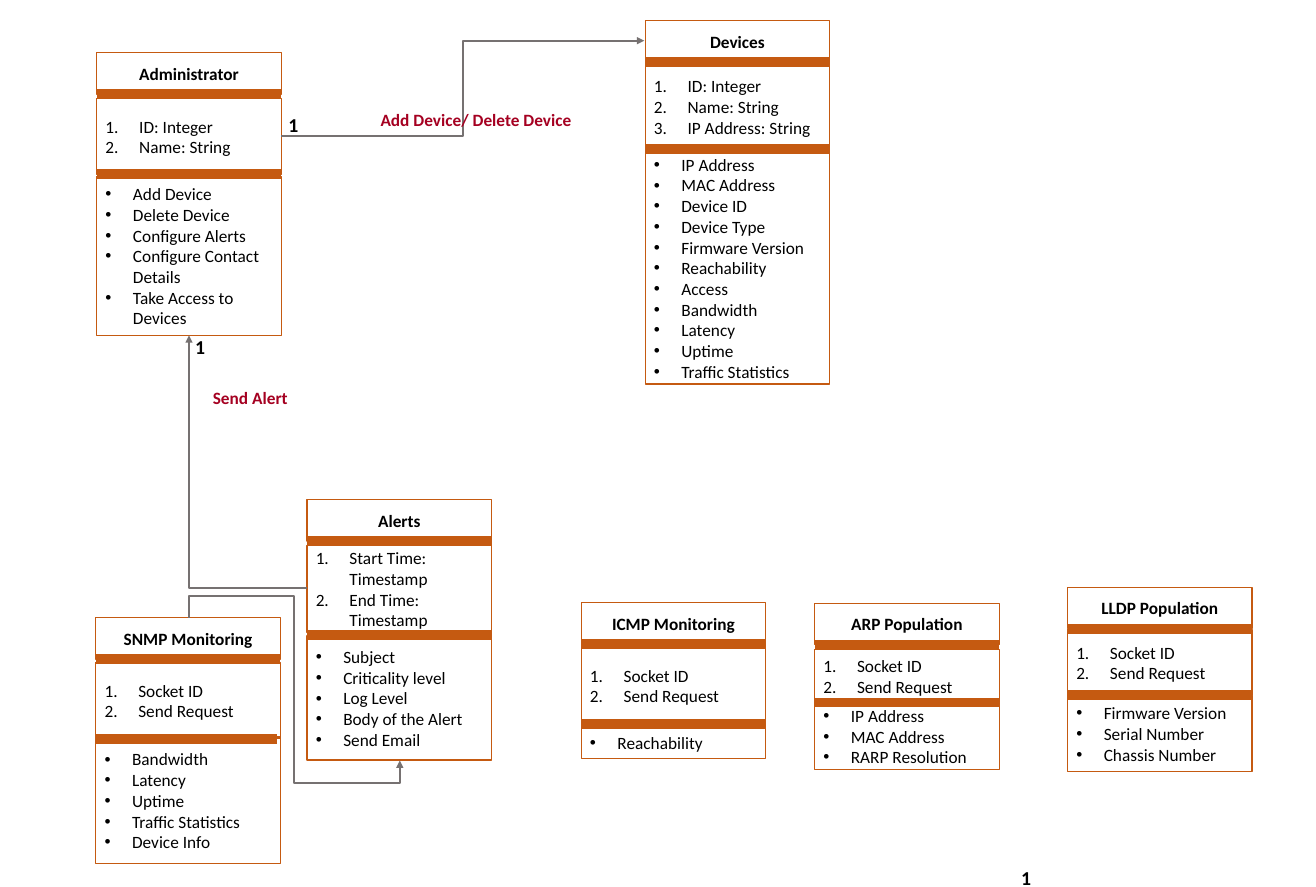
from dataclasses import dataclass
from typing import Any

from lxml import etree
from pptx import Presentation
from pptx import util as u
from pptx.dml import color
from pptx.enum import shapes, text
from pptx.oxml import ns

RUST, GREY, RED, BLACK = "C55A11", "767171", "A50021", "000000"
WIDE, HEAD = 2.08, 0.47


@dataclass
class Card:
    title: str
    left: float
    top: float
    mid: float
    mid_high: float
    low: float
    low_high: float
    bar: float
    fields: list[str]
    items: list[str]
    bar_wide: float = WIDE


@dataclass
class Link:
    start: tuple[str, int, int]
    end: tuple[str, int, int]
    kind: str
    frame: tuple[float, float, float, float]
    turn: dict[str, str]
    bends: tuple[int, ...] = ()


@dataclass
class Label:
    words: str
    left: float
    top: float
    width: float
    height: float
    size: int
    tint: str


CARDS = [
    Card("Administrator", 1.09, 0.59, 1.11, 0.86, 1.99, 1.79, 1.96,
         ["ID: Integer", "Name: String"],
         ["Add Device", "Delete Device", "Configure Alerts",
          "Configure Contact Details", "Take Access to Devices"]),
    Card("Devices", 7.27, 0.23, 0.75, 0.9, 1.71, 2.62, 1.68,
         ["ID: Integer", "Name: String", "IP Address: String"],
         ["IP Address", "MAC Address", "Device ID", "Device Type",
          "Firmware Version", "Reachability", "Access", "Bandwidth",
          "Latency", "Uptime", "Traffic Statistics"]),
    Card("ICMP Monitoring", 6.55, 6.79, 7.3, 0.86, 8.19, 0.36, 8.16,
         ["Socket ID", "Send Request"], ["Reachability"]),
    Card("Alerts", 3.46, 5.63, 6.15, 0.98, 7.17, 1.4, 7.16,
         ["Start Time: Timestamp", "End Time: Timestamp"],
         ["Subject", "Criticality level", "Log Level",
          "Body of the Alert", "Send Email"]),
    Card("SNMP Monitoring", 1.08, 6.96, 7.47, 0.86, 8.31, 1.43, 8.33,
         ["Socket ID", "Send Request"],
         ["Bandwidth", "Latency", "Uptime", "Traffic Statistics",
          "Device Info"], 2.04),
    Card("ARP Population", 9.18, 6.8, 7.32, 0.6, 7.92, 0.76, 7.92,
         ["Socket ID", "Send Request"],
         ["IP Address", "MAC Address", "RARP Resolution"]),
    Card("LLDP Population", 12.03, 6.62, 7.1, 0.74, 7.84, 0.86, 7.84,
         ["Socket ID", "Send Request"],
         ["Firmware Version", "Serial Number", "Chassis Number"]),
]

LINKS = [
    Link(("Administrator", 1, 3), ("Devices", 0, 1), "bentConnector3",
         (3.17, 0.46, 4.09, 1.07), {"flipV": "1"}, (50000,)),
    Link(("Alerts", 1, 1), ("Administrator", 2, 2), "bentConnector2",
         (2.13, 3.78, 1.33, 2.85), {"rot": "10800000"}),
    Link(("SNMP Monitoring", 0, 0), ("Alerts", 2, 2), "bentConnector5",
         (2.51, 6.58, 1.61, 2.38), {"rot": "16200000", "flipH": "1"},
         (-15500, 50000, 115500)),
]

LABELS = [
    Label("1", 2.1, 3.73, 0.32, 0.37, 16, BLACK),
    Label("Add Device/ Delete Device", 4.19, 1.18, 2.37, 0.34, 14, RED),
    Label("Send Alert", 2.3, 4.32, 1.05, 0.34, 14, RED),
    Label("1", 3.15, 1.22, 0.32, 0.37, 16, BLACK),
    Label("1", 11.41, 9.71, 0.32, 0.37, 16, BLACK),
]


def put(thing: Any, values: dict[str, Any]) -> None:
    for name, value in values.items():
        setattr(thing, name, value)


def paint(form: Any, tint: str) -> None:
    form.rgb = color.RGBColor.from_string(tint)


def add_tag(root: Any, tag: str, **values: str) -> Any:
    return etree.SubElement(root, ns.qn(tag), values)


def write(para: Any, words: str, size: int = 14, bold: bool = False,
          tint: str = BLACK) -> None:
    run = para.add_run()
    run.text = words
    put(run.font, {"name": "Calibri", "size": u.Pt(size), "bold": bold})
    paint(run.font.color, tint)


def mark(para: Any, dent: float, count: bool) -> None:
    props = para._p.get_or_add_pPr()
    props.set("marL", str(u.Inches(dent)))
    props.set("indent", str(-u.Inches(dent)))
    if count:
        add_tag(props, "a:buFont", typeface="+mj-lt")
        add_tag(props, "a:buAutoNum", type="arabicPeriod")
    else:
        add_tag(props, "a:buFont", typeface="Arial")
        add_tag(props, "a:buChar", char="•")


def add_box(tree: Any, left: float, top: float, high: float) -> Any:
    box = tree.add_shape(shapes.MSO_SHAPE.RECTANGLE, u.Inches(left),
                         u.Inches(top), u.Inches(WIDE), u.Inches(high))
    box.shadow.inherit = False
    box.fill.background()
    paint(box.line.color, RUST)
    box.line.width = u.Pt(1)
    put(box.text_frame, {"word_wrap": True,
                         "vertical_anchor": text.MSO_ANCHOR.MIDDLE})
    return box


def add_list(box: Any, lines: list[str], dent: float, count: bool) -> None:
    frame = box.text_frame
    for spot, line in enumerate(lines):
        para = frame.add_paragraph() if spot else frame.paragraphs[0]
        para.alignment = text.PP_ALIGN.LEFT
        mark(para, dent, count)
        write(para, line)


def add_line(tree: Any, kind: Any, ends: tuple[float, ...], tint: str,
             size: float) -> Any:
    line = tree.add_connector(kind, *map(u.Inches, ends))
    paint(line.line.color, tint)
    line.line.width = u.Pt(size)
    add_tag(line._element.spPr, "a:effectLst")
    return line


def add_card(tree: Any, card: Card) -> list[Any]:
    head = add_box(tree, card.left, card.top, HEAD)
    para = head.text_frame.paragraphs[0]
    para.alignment = text.PP_ALIGN.CENTER
    write(para, card.title, bold=True)
    mid = add_box(tree, card.left, card.mid, card.mid_high)
    add_list(mid, card.fields, 0.38, True)
    low = add_box(tree, card.left, card.low, card.low_high)
    add_list(low, card.items, 0.31, False)
    for y, wide in ((card.top + HEAD, WIDE), (card.bar, card.bar_wide)):
        add_line(tree, shapes.MSO_CONNECTOR.STRAIGHT,
                 (card.left, y, card.left + wide, y), RUST, 8)
    return [head, mid, low]


def add_link(tree: Any, link: Link, cards: dict[str, list[Any]]) -> None:
    line = add_line(tree, shapes.MSO_CONNECTOR.ELBOW, (0, 0, 1, 1), GREY, 1.5)
    name, part, site = link.start
    line.begin_connect(cards[name][part], site)
    name, part, site = link.end
    line.end_connect(cards[name][part], site)
    put(line, dict(zip(("left", "top", "width", "height"),
                       map(u.Inches, link.frame))))
    props = line._element.spPr
    frame = props.find(ns.qn("a:xfrm"))
    for key in ("flipH", "flipV"):
        frame.attrib.pop(key, None)
    frame.attrib.update(link.turn)
    shape = props.find(ns.qn("a:prstGeom"))
    shape.set("prst", link.kind)
    bends = shape.find(ns.qn("a:avLst"))
    for spot, bend in enumerate(link.bends, 1):
        add_tag(bends, "a:gd", name=f"adj{spot}", fmla=f"val {bend}")
    add_tag(props.find(ns.qn("a:ln")), "a:tailEnd", type="triangle")


def add_label(tree: Any, label: Label) -> None:
    box = tree.add_textbox(*map(u.Inches, (label.left, label.top,
                                           label.width, label.height)))
    put(box.text_frame, {"word_wrap": False,
                         "auto_size": text.MSO_AUTO_SIZE.SHAPE_TO_FIT_TEXT})
    write(box.text_frame.paragraphs[0], label.words, label.size, True,
          label.tint)


def main() -> None:
    deck = Presentation()
    put(deck, {"slide_width": u.Inches(14.83), "slide_height": u.Inches(10)})
    tree = deck.slides.add_slide(deck.slide_layouts[6]).shapes
    cards = {card.title: add_card(tree, card) for card in CARDS}
    for link in LINKS:
        add_link(tree, link, cards)
    for label in LABELS:
        add_label(tree, label)
    deck.save("out.pptx")


if __name__ == "__main__":
    main()
